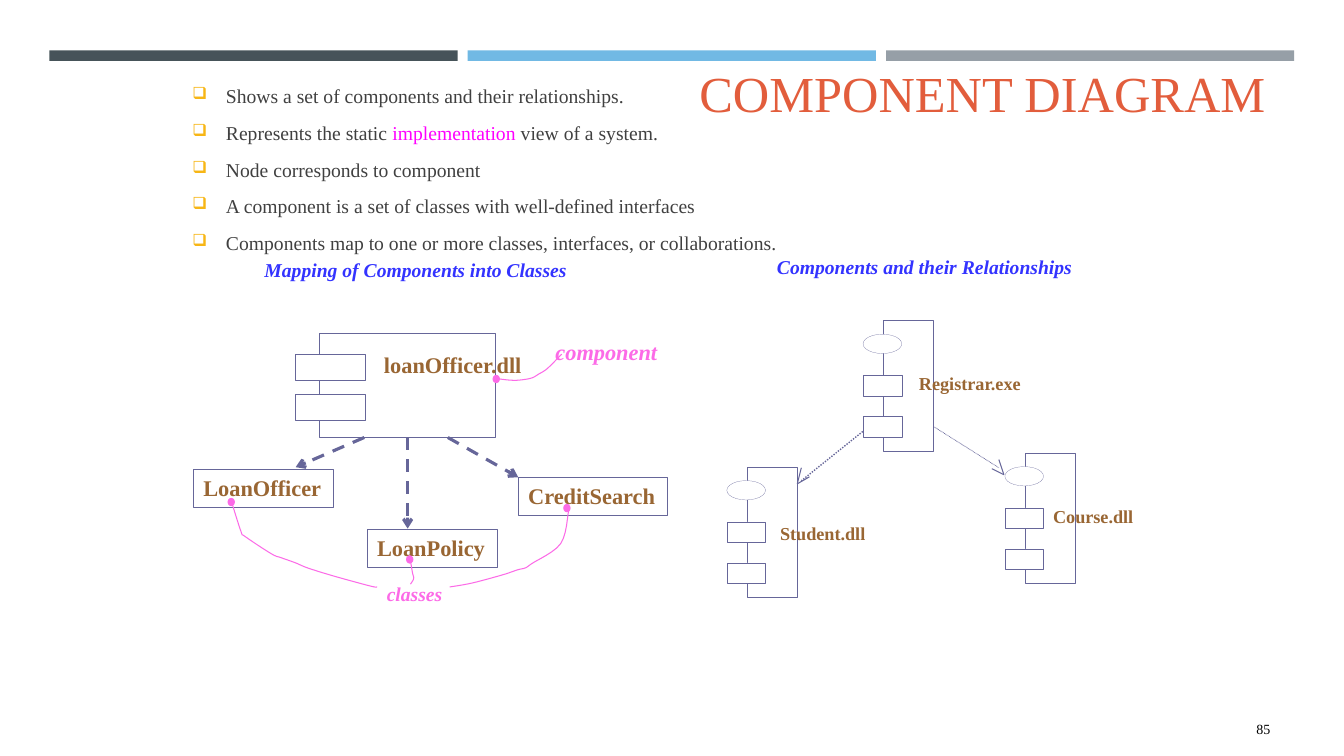
from lxml import etree
from pptx import Presentation
from pptx import util as u
from pptx.dml.color import RGBColor
from pptx.enum import dml, shapes, text
from pptx.oxml.ns import qn

FONT = "Times New Roman"
OUTLINE, PINK, BROWN, BLUE = "666699", "FC6AE7", "996633", "3333FF"
RECT, OVAL = shapes.MSO_SHAPE.RECTANGLE, shapes.MSO_SHAPE.OVAL
MIDDLE, BOTTOM = text.MSO_ANCHOR.MIDDLE, text.MSO_ANCHOR.BOTTOM
CENTER, RIGHT = text.PP_ALIGN.CENTER, text.PP_ALIGN.RIGHT
DASH, DOTS = dml.MSO_LINE.DASH, dml.MSO_LINE.ROUND_DOT


def color(value):
    return RGBColor.from_string(value)


def style_font(font, size, hue, bold=False, italic=False):
    font.name, font.size = FONT, u.Pt(size)
    font.bold, font.italic = bold, italic
    font.color.rgb = color(hue)


def style_outline(shape, fill, line, width):
    shape.shadow.inherit = False
    if fill:
        shape.fill.solid()
        shape.fill.fore_color.rgb = color(fill)
    else:
        shape.fill.background()
    if line:
        shape.line.color.rgb = color(line)
        shape.line.width = u.Pt(width)
    else:
        shape.line.fill.background()


def add_figure(page, kind, left, top, width, height, fill="FFFFFF", line=OUTLINE, weight=0.75):
    shape = page.shapes.add_shape(kind, u.Pt(left), u.Pt(top), u.Pt(width), u.Pt(height))
    style_outline(shape, fill, line, weight)
    return shape


def write(shape, words, size, hue, bold=False, italic=False, align=text.PP_ALIGN.LEFT,
          anchor=text.MSO_ANCHOR.TOP, wrap=False, inset=True):
    frame = shape.text_frame
    frame.word_wrap = wrap
    frame.vertical_anchor = anchor
    if not inset:
        frame.margin_left = frame.margin_right = frame.margin_top = frame.margin_bottom = 0
    para = frame.paragraphs[0]
    para.text, para.alignment = words, align
    style_font(para.font, size, hue, bold, italic)


def add_label(page, left, top, width, height, words, size, hue, **options):
    box = page.shapes.add_textbox(u.Pt(left), u.Pt(top), u.Pt(width), u.Pt(height))
    write(box, words, size, hue, **options)


def add_line(page, start, end, weight, dash=None, arrow=False):
    line = page.shapes.add_connector(shapes.MSO_CONNECTOR.STRAIGHT,
                                     *(u.Pt(value) for value in (*start, *end)))
    line.line.color.rgb = color(OUTLINE)
    line.line.width = u.Pt(weight)
    if dash:
        line.line.dash_style = dash
    if arrow:
        etree.SubElement(line.line._get_or_add_ln(), qn("a:tailEnd"), type="arrow")
    etree.SubElement(line._element.spPr, qn("a:effectLst"))
    return line


def smooth_points(points, steps=6):
    padded = [points[0], *points, points[-1]]
    for a, b, c, d in zip(padded, padded[1:], padded[2:], padded[3:]):
        for step in range(1, steps + 1):
            t = step / steps
            yield tuple(q + t / 2 * (r - p + t * (2 * p - 5 * q + 4 * r - s + t * (3 * (q - r) + s - p)))
                        for p, q, r, s in zip(a, b, c, d))


def add_callout(page, left, top, dot, points):
    placed = [(left + x, top + y) for x, y in points]
    builder = page.shapes.build_freeform(u.Pt(placed[0][0]), u.Pt(placed[0][1]))
    builder.add_line_segments([(u.Pt(x), u.Pt(y)) for x, y in smooth_points(placed)], close=False)
    style_outline(builder.convert_to_shape(), None, PINK, 0.75)
    add_figure(page, OVAL, left + dot[0], top + dot[1], 4.5, 5.2, PINK, PINK)


def add_header(page, left, top, width, height):
    gap = 7.2
    bar = (width - 2 * gap) / 3
    for index, fill in enumerate(("465359", "71B9E4", "969FA7")):
        add_figure(page, RECT, left + index * (bar + gap), top, bar, height, fill, None)
    add_label(page, left + 457.2, top + 15.8, 440, 39.6, "COMPONENT DIAGRAM", 36, "E25D3C",
              anchor=BOTTOM, wrap=True)


def add_bullets(page, left, top, width, height):
    lines = [
        [("Shows a set of components and their relationships.", "404040")],
        [("Represents the static ", "404040"), ("implementation", "FF00FF"),
         (" view of a system.", "404040")],
        [("Node corresponds to component", "404040")],
        [("A component is a set of classes with well-defined interfaces", "404040")],
        [("Components map to one or more classes, interfaces, or collaborations.", "404040")],
    ]
    box = page.shapes.add_textbox(u.Pt(left), u.Pt(top), u.Pt(width), u.Pt(height))
    frame = box.text_frame
    frame.word_wrap = True
    frame.vertical_anchor = MIDDLE
    for index, spans in enumerate(lines):
        para = frame.add_paragraph() if index else frame.paragraphs[0]
        para.space_before = u.Pt(3.4 if index else 0)
        para.space_after = u.Pt(6)
        props = para._p.get_or_add_pPr()
        props.set("marL", str(u.Pt(24)))
        props.set("indent", str(u.Pt(-24)))
        hue = etree.SubElement(props, qn("a:buClr"))
        etree.SubElement(hue, qn("a:srgbClr"), val="F7B615")
        etree.SubElement(props, qn("a:buSzPct"), val="85000")
        etree.SubElement(props, qn("a:buChar"), char="❑")
        for words, ink in spans:
            span = para.add_run()
            span.text = words
            style_font(span.font, 14, ink)


def add_mapping(page, left, top):
    body = add_figure(page, RECT, left + 90.2, top, 125.6, 74.2)
    for tab_top in (14.7, 43.5):
        add_figure(page, RECT, left + 73, top + tab_top, 49.7, 18.7)
    add_label(page, left + 129, top + 9, 115, 26.6, "loanOfficer.dll", 16, BROWN, bold=True)
    add_label(page, left + 251.5, top, 88, 26.6, "component", 16, PINK, bold=True, italic=True)
    add_label(page, left + 131, top + 174, 54.7, 23.8, "classes", 14, PINK, bold=True, italic=True)

    for x, y, width, name in ((0, 96.8, 100, "LoanOfficer"), (124, 140, 93, "LoanPolicy"),
                              (232, 102.6, 106.8, "CreditSearch")):
        box = add_figure(page, RECT, left + x, top + y, width, 27.2, None)
        write(box, name, 16, BROWN, bold=True)

    for x, end in ((153, (153, 139.3)), (122, (73, 95.4)), (181.7, (232, 102.6))):
        line = add_line(page, (left + x, top + 74.2), (left + end[0], top + end[1]), 2.25, DASH, True)
        if x == 153:
            line.begin_connect(body, 2)

    callouts = (
        ((214, 29.8), [(215.5, 32), (229, 33.4), (240.7, 32), (246.5, 29), (253, 24.8), (263, 14.7)]),
        ((24.7, 117.7), [(27.6, 121.3), (34, 141.4), (37, 145), (55.7, 157.3), (63, 160.2), (73, 163.8),
                         (81.6, 167.4), (99.6, 173), (126.2, 180.3), (131.3, 181)]),
        ((152.2, 158.7), [(155, 162.3), (156.5, 171), (157.3, 175), (155, 179)]),
        ((264.5, 122), [(268, 126.3), (262.3, 150), (241.4, 164.5), (237, 167.4), (231.4, 168.8),
                        (220.6, 172.4), (199, 178.2), (183, 181)]),
    )
    for dot, points in callouts:
        add_callout(page, left, top, dot, points)


def add_module(page, left, top, name, label_left, label_top, label_width):
    add_figure(page, RECT, left + 14.2, top, 35.8, 93.2, weight=0.13)
    add_figure(page, OVAL, left, top + 9.7, 27.6, 13.8, weight=0.13)
    for tab_top in (39.2, 68.5):
        add_figure(page, RECT, left, top + tab_top, 27.6, 14.8, weight=0.13)
    add_label(page, left + label_left, top + label_top, label_width, 15.8, name, 13, BROWN,
              bold=True, align=CENTER, inset=False)


def add_relationships(page, left, top):
    modules = ((97.5, 0, "Registrar.exe", 39.5, 36.7, 73.4), (198.8, 94.6, "Course.dll", 33.9, 37.1, 58.3),
               (0.2, 104.6, "Student.dll", 37.4, 39.4, 62))
    for x, y, *label in modules:
        add_module(page, left + x, top + y, *label)
    links = (
        (0.5, (147.7, 75.6), (194.5, 105.1), (198.1, 110.1), ((194.5, 99.3), (189.5, 105.8))),
        (1, (97.3, 79.2), (53.4, 114.4), (50.5, 116.6), ((59.2, 111.6), (53.4, 105.1))),
    )
    for weight, start, end, tip, wings in links:
        strokes = [(start, end, weight, DOTS)] + [(tip, wing, 0.75, None) for wing in wings]
        for (x1, y1), (x2, y2), width, dash in strokes:
            add_line(page, (left + x1, top + y1), (left + x2, top + y2), width, dash)


def main():
    deck = Presentation()
    deck.slide_width, deck.slide_height = u.Pt(960), u.Pt(540)
    page = deck.slides.add_slide(deck.slide_layouts[6])
    add_header(page, 35.3, 36, 889.2, 7.5)
    add_bullets(page, 130.3, 83.5, 783.4, 74.9)
    add_mapping(page, 138.2, 238.3)
    add_relationships(page, 519, 229)
    for left, top, width, words in ((514, 178.6, 293, "Components and their Relationships"),
                                    (156.2, 180.7, 281.5, "Mapping of Components into Classes")):
        add_label(page, left, top, width, 23.8, words, 14, BLUE, bold=True, italic=True,
                  align=CENTER, wrap=True)
    add_label(page, 831.6, 506.2, 82.8, 28.8, "85", 10, "000000", align=RIGHT, anchor=MIDDLE, wrap=True)
    deck.save("out.pptx")


if __name__ == "__main__":
    main()
